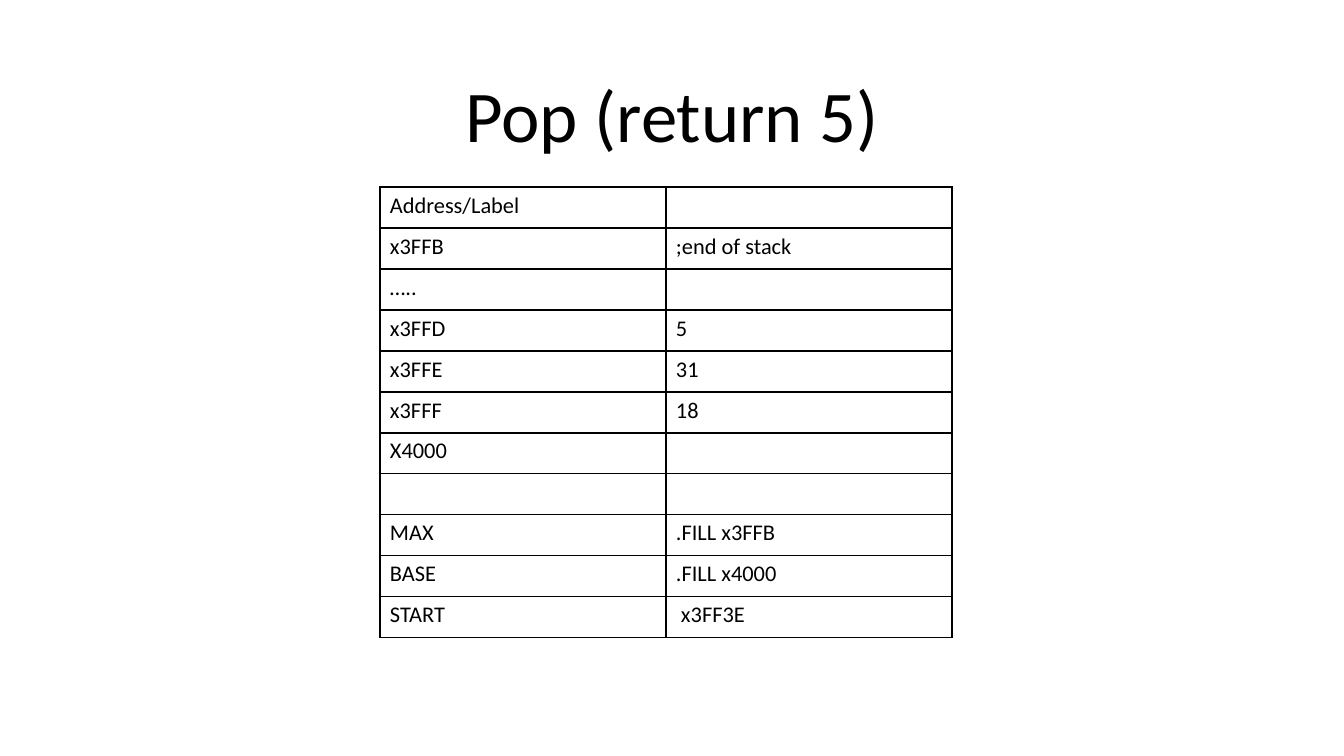
from dataclasses import dataclass

from pptx import Presentation
from pptx import util as u
from pptx.dml import color
from pptx.enum import text
from pptx.oxml import ns, xmlchemy

PX = 6804


@dataclass(frozen=True)
class Theme:
    font: str = "Calibri"
    ink: str = "000000"
    title: int = 39
    body: int = 12
    rule: int = 1


T = Theme()
ROWS = [
    ("Address/Label", ""),
    ("x3FFB", ";end of stack"),
    ("…..", ""),
    ("x3FFD", "5"),
    ("x3FFE", "31"),
    ("x3FFF", "18"),
    ("X4000", ""),
    ("", ""),
    ("MAX", ".FILL x3FFB"),
    ("BASE", ".FILL x4000"),
    ("START", " x3FF3E"),
]


def px(n):
    return u.Emu(n * PX)


def inset(obj):
    obj.margin_left = obj.margin_right = px(10)
    obj.margin_top = obj.margin_bottom = px(5)


def add_run(p, words, size):
    r = p.add_run()
    r.text = words
    r.font.name = T.font
    r.font.size = u.Pt(size)
    r.font.color.rgb = color.RGBColor.from_string(T.ink)


def set_empty_size(p, size):
    end = xmlchemy.OxmlElement("a:endParaRPr")
    end.set("sz", str(size * 100))
    p._p.append(end)


def set_borders(cell):
    props = cell._tc.get_or_add_tcPr()
    for i, side in enumerate(("lnL", "lnR", "lnT", "lnB")):
        ln = xmlchemy.OxmlElement(f"a:{side}")
        ln.set("w", str(u.Pt(T.rule)))
        fill = xmlchemy.OxmlElement("a:solidFill")
        clr = xmlchemy.OxmlElement("a:srgbClr")
        clr.set("val", T.ink)
        fill.append(clr)
        ln.append(fill)
        props.insert(i, ln)


def title(s, x, y, w, h):
    sp = s.shapes.add_textbox(px(x), px(y), px(w), px(h))
    tf = sp.text_frame
    tf.word_wrap = True
    tf.vertical_anchor = text.MSO_ANCHOR.MIDDLE
    inset(tf)
    p = tf.paragraphs[0]
    p.alignment = text.PP_ALIGN.CENTER
    add_run(p, "Pop (return 5)", T.title)


def stack_table(s, x, y, w, h):
    cols = len(ROWS[0])
    tbl = s.shapes.add_table(len(ROWS), cols, px(x), px(y), px(w), px(h)).table
    tbl.first_row = tbl.horz_banding = False
    for col in tbl.columns:
        col.width = px(w // cols)
    for row, values in zip(tbl.rows, ROWS):
        row.height = px(h // len(ROWS))
        for cell, words in zip(row.cells, values):
            inset(cell)
            cell.fill.background()
            set_borders(cell)
            p = cell.text_frame.paragraphs[0]
            if words:
                add_run(p, words, T.body)
            else:
                set_empty_size(p, T.body)


def main():
    prs = Presentation()
    prs.slide_width, prs.slide_height = px(1344), px(756)
    s = prs.slides.add_slide(prs.slide_layouts[6])
    title(s, 93, 40, 1158, 146)
    stack_table(s, 380, 187, 572, 451)
    prs.save("out.pptx")


if __name__ == "__main__":
    main()
